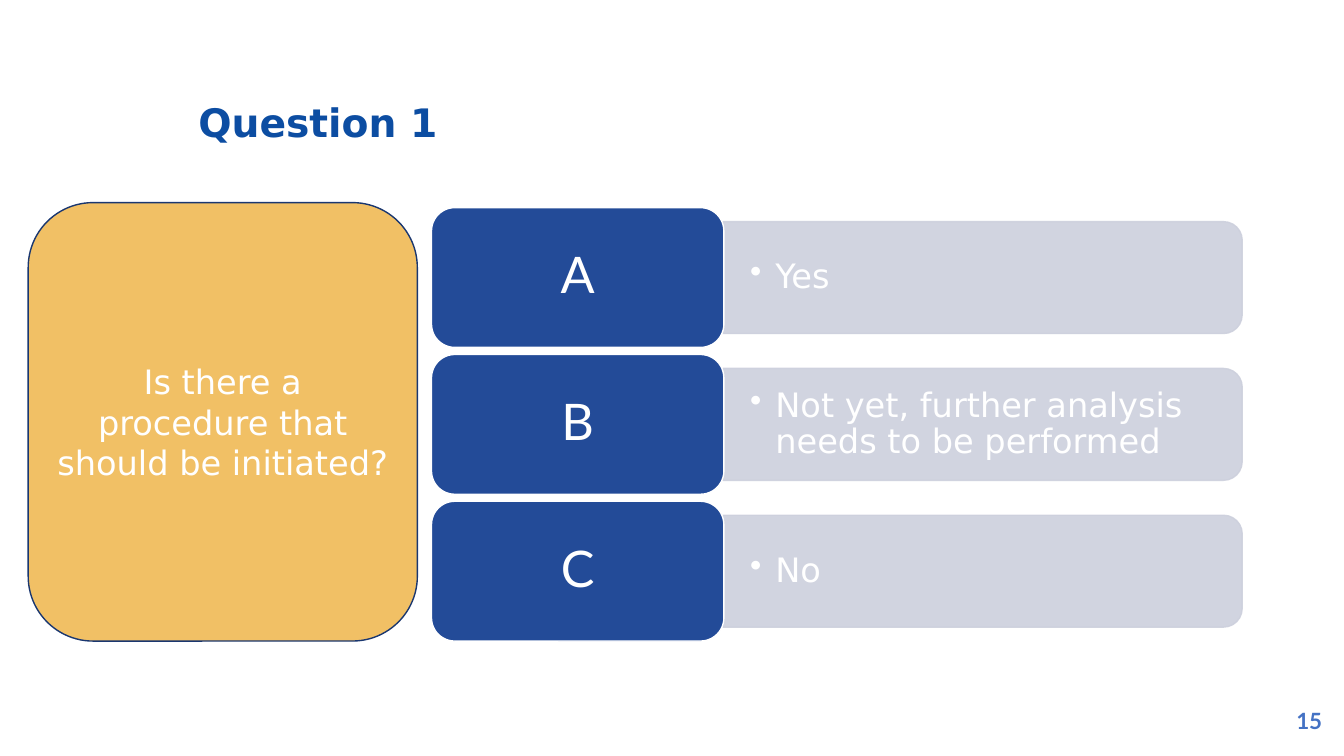
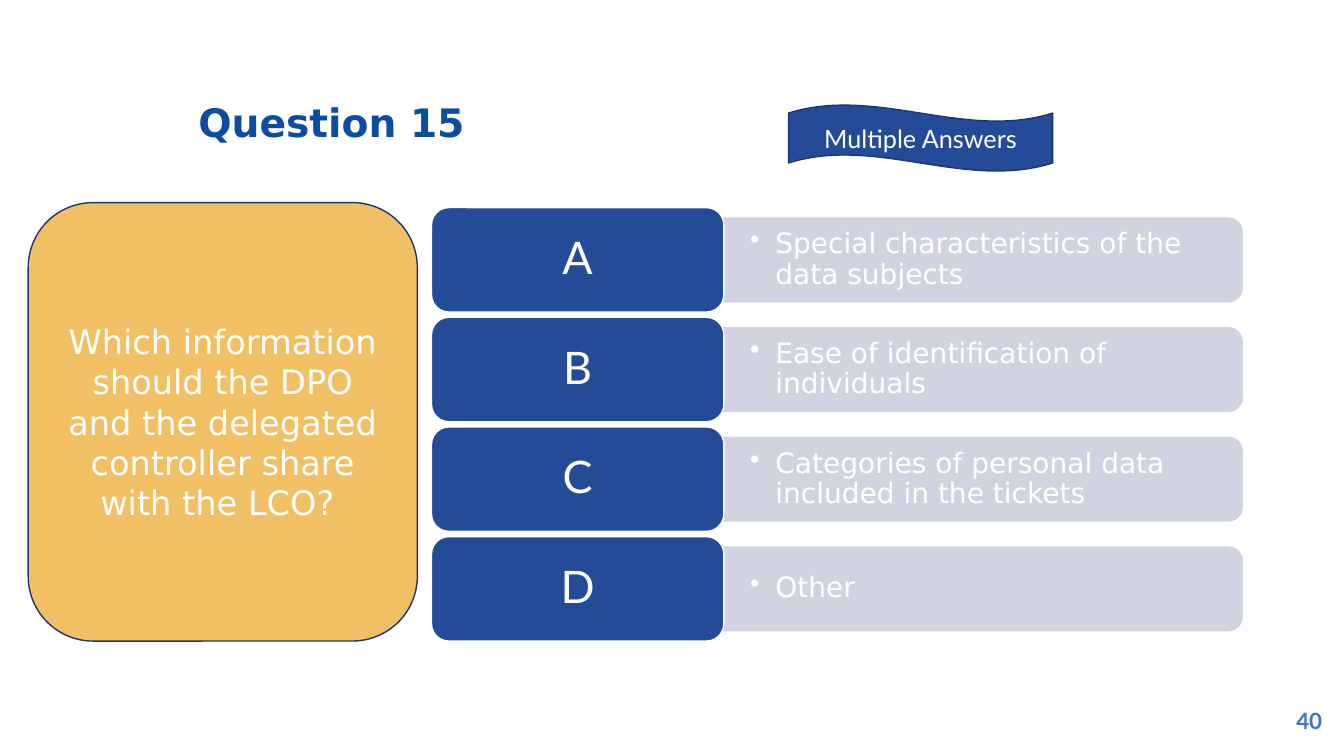
from lxml import etree
from pptx import Presentation
from pptx.dml.color import RGBColor
from pptx.enum.shapes import MSO_SHAPE
from pptx.enum.text import MSO_ANCHOR, PP_ALIGN
from pptx.oxml.ns import qn
from pptx.util import Inches, Pt

BLUE, NAVY, AMBER, GREY, WHITE = "234B98", "1A3770", "F1C065", "CDD0DD", "FFFFFF"
TITLE_BLUE, NUMBER_BLUE = "0C4DA2", "4472C4"
SANS, LATO = "DejaVu Sans", "Lato"

ANSWERS_TOP, ANSWERS_HEIGHT, GAP_RATIO = 2.06, 4.3, 0.05
LETTER_LEFT, LETTER_WIDTH = 4.28, 2.9
BAR_LEFT, BAR_LENGTH, BAR_RATIO = 7.17, 5.15, 0.8


def color(hex_code):
    return RGBColor.from_string(hex_code)


def write(shape, text, size, font=SANS, ink=WHITE, bold=False,
          align=PP_ALIGN.CENTER, anchor=MSO_ANCHOR.MIDDLE, spacing=None, bullet=False):
    """Put one paragraph of text into a shape or text box."""
    frame = shape.text_frame
    frame.word_wrap = True
    frame.vertical_anchor = anchor
    paragraph = frame.paragraphs[0]
    paragraph.text = text
    paragraph.alignment = align
    if spacing:
        paragraph.line_spacing = spacing
    if bullet:
        properties = paragraph._p.get_or_add_pPr()
        properties.set("marL", str(Inches(0.25)))
        properties.set("indent", str(Inches(-0.25)))
        etree.SubElement(properties, qn("a:buChar"), char="•")
    paragraph.font.name = font
    paragraph.font.size = Pt(size)
    paragraph.font.bold = bold
    paragraph.font.color.rgb = color(ink)


def text_box(slide, left, top, width, height):
    return slide.shapes.add_textbox(Inches(left), Inches(top), Inches(width), Inches(height))


def filled_shape(slide, kind, left, top, width, height, fill, outline):
    shape = slide.shapes.add_shape(kind, Inches(left), Inches(top), Inches(width), Inches(height))
    shape.shadow.inherit = False
    shape.fill.solid()
    shape.fill.fore_color.rgb = color(fill)
    shape.line.color.rgb = color(outline)
    shape.line.width = Pt(1)
    return shape


def answer_bar(slide, middle, thickness, text, size):
    """Translucent bar, rounded on the right, with its bulleted answer."""
    bar = filled_shape(slide, MSO_SHAPE.ROUND_2_SAME_RECTANGLE,
                       BAR_LEFT + (BAR_LENGTH - thickness) / 2, middle - BAR_LENGTH / 2,
                       thickness, BAR_LENGTH, GREY, GREY)
    bar.rotation = 90
    for tint in bar._element.spPr.iter(qn("a:srgbClr")):
        etree.SubElement(tint, qn("a:alpha"), val="90000")
    label = text_box(slide, BAR_LEFT, middle - thickness / 2, 5.1, thickness)
    frame = label.text_frame
    frame.margin_left = frame.margin_right = Inches(0.27)
    frame.margin_top = frame.margin_bottom = Inches(0.14)
    write(label, text, size, align=PP_ALIGN.LEFT, spacing=0.9, bullet=True)


def answer_list(slide, answers, letter_size, answer_size):
    count = len(answers)
    height = ANSWERS_HEIGHT / (count + GAP_RATIO * (count - 1))
    for row, (letter, answer) in enumerate(zip("ABCD", answers)):
        top = ANSWERS_TOP + row * height * (1 + GAP_RATIO)
        answer_bar(slide, top + height / 2, height * BAR_RATIO, answer, answer_size)
        card = filled_shape(slide, MSO_SHAPE.ROUNDED_RECTANGLE, LETTER_LEFT, top,
                            LETTER_WIDTH, height, BLUE, WHITE)
        write(card, letter, letter_size, LATO, spacing=0.9)


def question_slide(deck, title, page, question, answers, letter_size, answer_size):
    slide = deck.slides.add_slide(deck.slide_layouts[6])
    write(text_box(slide, 1.87, 0.88, 9.52, 0.71), title, 28, ink=TITLE_BLUE, bold=True,
          align=PP_ALIGN.LEFT, anchor=MSO_ANCHOR.TOP, spacing=Pt(36.6))
    write(text_box(slide, 12.74, 6.95, 0.49, 0.4), page, 16, LATO, NUMBER_BLUE, bold=True)
    answer_list(slide, answers, letter_size, answer_size)
    panel = filled_shape(slide, MSO_SHAPE.ROUNDED_RECTANGLE, 0.28, 2.01, 3.86, 4.35, AMBER, NAVY)
    write(panel, question, 24)
    return slide


def wave_banner(slide, text):
    banner = filled_shape(slide, MSO_SHAPE.WAVE, 7.82, 1.04, 2.62, 0.66, BLUE, NAVY)
    write(banner, text, 18, LATO)


def main():
    deck = Presentation()
    deck.slide_width, deck.slide_height = Inches(13.33), Inches(7.5)
    question_slide(deck, "Question 1", "15",
                   "Is there a procedure that should be initiated?",
                   ["Yes", "Not yet, further analysis needs to be performed", "No"],
                   letter_size=36, answer_size=24)
    multiple_choice = question_slide(
        deck, "Question 15", "40",
        "Which information should the DPO and the delegated controller share with the LCO? ",
        ["Special characteristics of the data subjects",
         "Ease of identification of individuals",
         "Categories of personal data included in the tickets",
         "Other"],
        letter_size=32, answer_size=20)
    wave_banner(multiple_choice, "Multiple Answers")
    deck.save("out.pptx")


if __name__ == "__main__":
    main()
